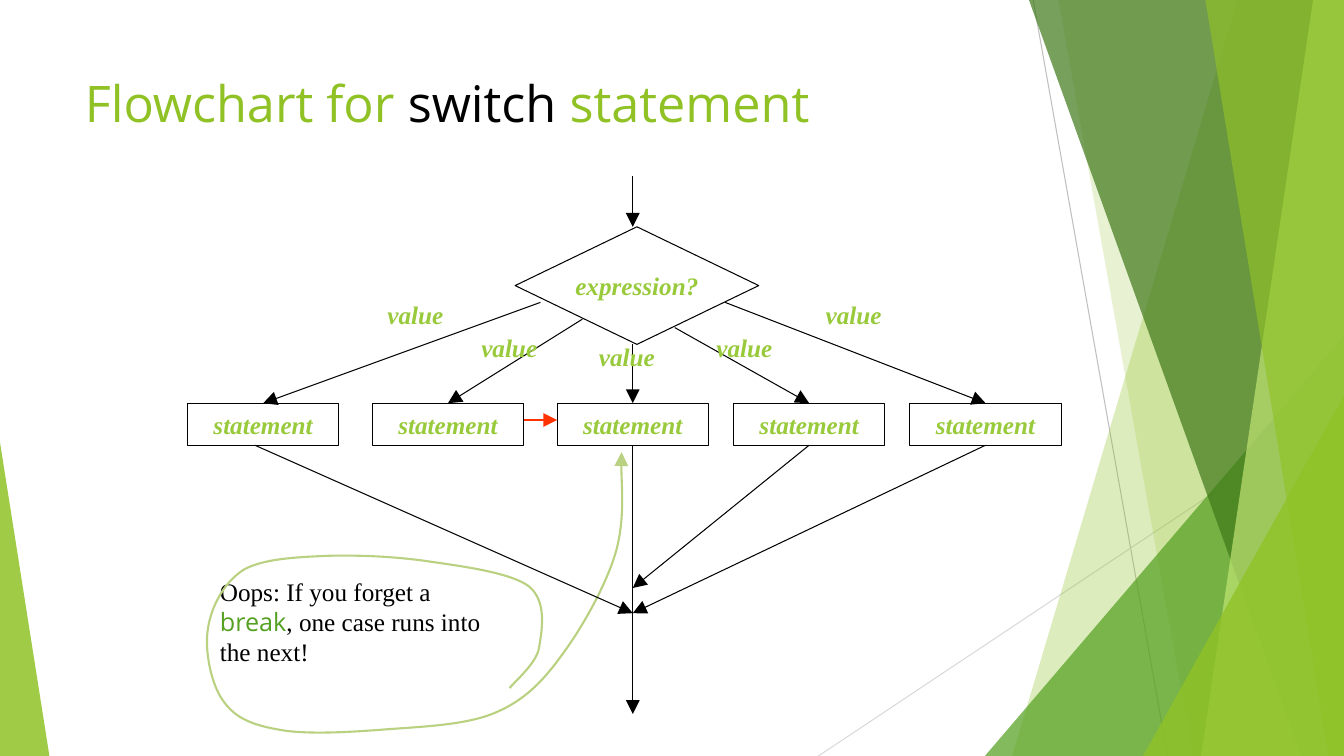
from lxml.etree import SubElement
from pptx import Presentation
from pptx.dml.color import RGBColor
from pptx.enum.shapes import MSO_CONNECTOR, MSO_SHAPE
from pptx.enum.text import MSO_ANCHOR, PP_ALIGN
from pptx.oxml.ns import qn
from pptx.util import Pt

LIME = RGBColor(0x90, 0xC2, 0x26)
GREEN = RGBColor(0x54, 0xA0, 0x21)
FOREST = RGBColor(0x3F, 0x78, 0x19)
PALE_LIME = RGBColor(0xC0, 0xE4, 0x74)
LABEL_GREEN = RGBColor(0x99, 0xCA, 0x3C)
LOOP_GREEN = RGBColor(0xB9, 0xD1, 0x81)
BLACK = RGBColor(0x00, 0x00, 0x00)
RED = RGBColor(0xFF, 0x33, 0x00)
GREY = RGBColor(0xBF, 0xBF, 0xBF)
LIGHT_GREY = RGBColor(0xD9, 0xD9, 0xD9)

SANS = "Open Sans"
SERIF = "Times New Roman"


def add_run(paragraph, wording, size, face, color, emphasis=False):
    """Append one formatted run to a paragraph."""
    run = paragraph.add_run()
    run.text = wording
    run.font.size = Pt(size)
    run.font.name = face
    run.font.color.rgb = color
    run.font.bold = run.font.italic = emphasis


def add_text_box(slide, left, top, width, height):
    """Add a wrapping text box and return its first paragraph."""
    frame = slide.shapes.add_textbox(Pt(left), Pt(top), Pt(width), Pt(height)).text_frame
    frame.word_wrap = True
    return frame.paragraphs[0]


def add_arrowhead(shape):
    """Put a large triangle at the end of an outlined shape or connector."""
    outline = shape._element.spPr.find(qn("a:ln"))
    SubElement(outline, qn("a:tailEnd"), type="triangle", w="lg", len="lg")


def add_line(slide, start, end, color=BLACK, arrow=True):
    """Draw a straight line, by default with an arrowhead."""
    line = slide.shapes.add_connector(
        MSO_CONNECTOR.STRAIGHT, Pt(start[0]), Pt(start[1]), Pt(end[0]), Pt(end[1]))
    line.line.color.rgb = color
    line.line.width = Pt(0.75)
    if arrow:
        add_arrowhead(line)
    SubElement(line._element.spPr, qn("a:effectLst"))


def add_outline(slide, points, close):
    """Build a freeform through the given points."""
    (first_x, first_y), *others = [(Pt(x), Pt(y)) for x, y in points]
    builder = slide.shapes.build_freeform(first_x, first_y, scale=1.0)
    builder.add_line_segments(others, close=close)
    shape = builder.convert_to_shape()
    shape.shadow.inherit = False
    return shape


def bend(shape):
    """Turn every three straight segments of a freeform into one cubic curve."""
    segments = list(shape._element.spPr.iter(qn("a:lnTo")))
    outline = segments[0].getparent()
    for first in range(0, len(segments), 3):
        curve = SubElement(outline, qn("a:cubicBezTo"))
        for segment in segments[first:first + 3]:
            curve.append(segment[0])
            outline.remove(segment)


def tint(shape, color, opacity):
    """Fill a shape with a translucent colour and no outline."""
    shape.shadow.inherit = False
    shape.fill.solid()
    shape.fill.fore_color.rgb = color
    rgb = shape._element.spPr.find(qn("a:solidFill"))[0]
    SubElement(rgb, qn("a:alpha"), val=str(opacity * 1000))
    shape.line.fill.background()


def add_facets(slide, left, top, width, height):
    """Lay the translucent green facets along the slide edges."""
    right, bottom = left + width, top + height

    def band(top_x, bottom_x, color, opacity):
        corners = [(left + top_x, top), (right, top), (right, bottom), (left + bottom_x, bottom)]
        tint(add_outline(slide, corners, True), color, opacity)

    def wedge(wedge_left, wedge_width, wedge_height, apex, color, opacity):
        triangle = slide.shapes.add_shape(
            MSO_SHAPE.ISOSCELES_TRIANGLE, Pt(left + wedge_left), Pt(bottom - wedge_height),
            Pt(wedge_width), Pt(wedge_height))
        triangle.adjustments[0] = apex
        tint(triangle, color, opacity)

    add_line(slide, (left + 738, top), (left + 834, bottom), GREY, False)
    add_line(slide, (right, top + 290), (left + 584.6, bottom), LIGHT_GREY, False)
    band(884, 723, LIME, 30)
    band(756, 852, LIME, 20)
    wedge(703.5, 256.5, 300, 1, GREEN, 72)
    band(735, 929.5, FOREST, 70)
    band(938, 858, PALE_LIME, 70)
    band(861, 949, LIME, 65)
    wedge(816.5, 143.5, 257, 1, LIME, 80)
    wedge(0, 35.3, 224, 0, LIME, 85)


def add_title(slide, left, top, width, height):
    """Write the slide title."""
    title = add_text_box(slide, left, top, width, height)
    for wording, color in (("Flowchart for ", LIME), ("switch", BLACK), (" statement", LIME)):
        add_run(title, wording, 36, SANS, color)


def add_break_warning(slide, left, top):
    """Write the warning and loop an arrow around it."""
    warning = add_text_box(slide, left + 4, top + 85, 216, 73)
    add_run(warning, "Oops: If you forget a ", 18, SERIF, BLACK)
    add_run(warning, "break", 18, SANS, GREEN)
    add_run(warning, ", one case runs into the next!", 18, SERIF, BLACK)
    knots = (
        (218, 168.5),
        (222, 163.5), (237, 151), (239, 140),
        (241, 127.5), (245, 107), (232, 96),
        (219, 86), (184, 81.5), (160, 78),
        (136, 74.5), (111, 73.5), (89, 74),
        (66, 75), (42, 76), (28, 84),
        (14, 93), (5, 110), (2.5, 126),
        (0, 141), (4.5, 165), (13, 177),
        (21, 189), (32.5, 194.5), (52, 198),
        (71.5, 202), (104, 200), (130, 198),
        (156, 196), (187, 195), (208, 186),
        (229, 177), (242, 163.5), (256, 144),
        (270, 125), (287, 95), (294, 71),
        (300.5, 47), (297, 14.5), (298, 0),
    )
    loop = add_outline(slide, [(left + x, top + y) for x, y in knots], False)
    bend(loop)
    loop.fill.background()
    loop.line.color.rgb = LOOP_GREEN
    loop.line.width = Pt(1.5)
    add_arrowhead(loop)


def add_flowchart(slide, left, top):
    """Draw the switch flowchart from its expression to its exit."""
    axis, statement_top, statement_width, statement_height = 318, 162, 108, 30
    statement_bottom = statement_top + statement_height

    def arrow(start, end, color=BLACK):
        add_line(slide, (left + start[0], top + start[1]), (left + end[0], top + end[1]), color)

    def node(kind, wording, x, y, width, height):
        shape = slide.shapes.add_shape(kind, Pt(left + x), Pt(top + y), Pt(width), Pt(height))
        shape.shadow.inherit = False
        shape.fill.background()
        shape.line.color.rgb = BLACK
        shape.line.width = Pt(0.75)
        shape.text_frame.word_wrap = False
        shape.text_frame.vertical_anchor = MSO_ANCHOR.MIDDLE
        label = shape.text_frame.paragraphs[0]
        label.alignment = PP_ALIGN.CENTER
        add_run(label, wording, 18, SERIF, LABEL_GREEN, True)

    arrow((axis, 0), (axis, 36))
    node(MSO_SHAPE.FLOWCHART_DECISION, "expression?", 234, 36, 174, 84)
    cases = (
        (0, (252, 90), (126, 84)),
        (132, (282, 102), (193, 108)),
        (264, (axis, 120), (277, 114)),
        (390, (348, 108), (361, 108)),
        (516, (384, 90), (439, 84)),
    )
    for statement_left, branch, (value_left, value_top) in cases:
        node(MSO_SHAPE.FLOWCHART_PROCESS, "statement", statement_left, statement_top,
             statement_width, statement_height)
        arrow(branch, (statement_left + statement_width / 2, statement_top))
        value = add_text_box(slide, left + value_left, top + value_top, 73.5, 29)
        value.alignment = PP_ALIGN.CENTER
        add_run(value, "value", 18, SERIF, LABEL_GREEN, True)
    for exit_x, merge_y in ((48, 312), (axis, 384), (444, 294), (570, 312)):
        arrow((exit_x, statement_bottom), (axis, merge_y))
    arrow((240, 174), (264, 174), RED)


def main():
    """Build and save the slide."""
    deck = Presentation()
    deck.slide_width, deck.slide_height = Pt(960), Pt(540)
    slide = deck.slides.add_slide(deck.slide_layouts[6])
    add_facets(slide, 0, 0, 960, 540)
    add_title(slide, 53.5, 48, 677, 104)
    add_break_warning(slide, 146, 323)
    add_flowchart(slide, 134, 126)
    deck.save("out.pptx")


main()
